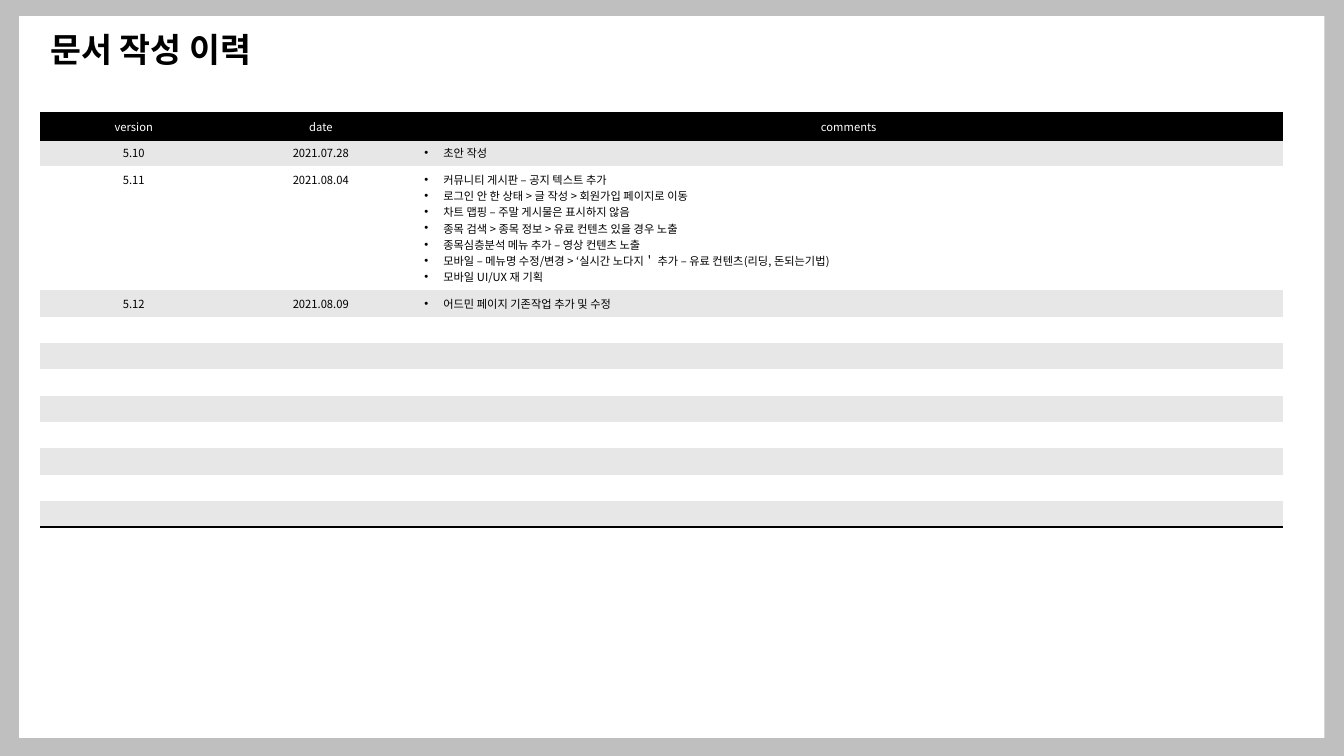
from pptx import Presentation
from pptx.dml.color import RGBColor
from pptx.enum.shapes import MSO_SHAPE
from pptx.enum.text import MSO_ANCHOR, MSO_AUTO_SIZE, PP_ALIGN
from pptx.oxml.ns import qn
from pptx.util import Pt
from lxml.etree import SubElement

HEADERS = ["version", "date", "comments"]
HISTORY = [
    ("5.10", "2021.07.28", ["초안 작성"]),
    ("5.11", "2021.08.04", [
        "커뮤니티 게시판 – 공지 텍스트 추가",
        "로그인 안 한 상태 > 글 작성 > 회원가입 페이지로 이동",
        "차트 맵핑 – 주말 게시물은 표시하지 않음",
        "종목 검색 > 종목 정보 > 유료 컨텐츠 있을 경우 노출",
        "종목심층분석 메뉴 추가 – 영상 컨텐츠 노출",
        "모바일 – 메뉴명 수정/변경 > ‘실시간 노다지＇ 추가 – 유료 컨텐츠(리딩, 돈되는기법)",
        "모바일 UI/UX 재 기획",
    ]),
    ("5.12", "2021.08.09", ["어드민 페이지 기존작업 추가 및 수정"]),
]
EMPTY_ROWS = 8
COLUMN_WIDTHS = [133.6, 133.6, 620.6]
LINE_HEIGHT, CELL_PADDING = 11.6, 7.2
NO_STYLE = "{2D5ABB26-0587-4C30-8999-92F81FD0307C}"


def colour(value):
    return RGBColor.from_string(value)


def write(para, text, size=8, color="000000", bold=False, align=PP_ALIGN.LEFT,
          font="Noto Sans CJK KR"):
    para.alignment = align
    span = para.add_run()
    span.text = text
    span.font.name = font
    span.font.size = Pt(size)
    span.font.bold = bold
    span.font.color.rgb = colour(color)
    SubElement(span.font._element, qn("a:ea"), typeface=font)


def add_bullet(para, indent=13.5):
    properties = para._p.get_or_add_pPr()
    properties.set("marL", str(Pt(indent)))
    properties.set("indent", str(-Pt(indent)))
    SubElement(properties, qn("a:buFont"), typeface="Arial")
    SubElement(properties, qn("a:buChar"), char="•")


def add_border(cell, side, color="000000", width=2):
    properties = cell._tc.get_or_add_tcPr()
    line = properties.makeelement(qn(f"a:{side}"), {"w": str(Pt(width))})
    fill = SubElement(line, qn("a:solidFill"))
    SubElement(fill, qn("a:srgbClr"), val=color)
    properties.insert(len(properties.findall(qn("a:lnT"))), line)


class HistorySlide:
    ink, paper, band, backdrop = "000000", "FFFFFF", "E7E7E7", "BFBFBF"

    def __init__(self, deck):
        self.page = deck.slides.add_slide(deck.slide_layouts[5])
        self.page.background.fill.solid()
        self.page.background.fill.fore_color.rgb = colour(self.backdrop)

    def panel(self, left, top, width, height):
        box = self.page.shapes.add_shape(
            MSO_SHAPE.RECTANGLE, Pt(left), Pt(top), Pt(width), Pt(height))
        box.shadow.inherit = False
        box.fill.solid()
        box.fill.fore_color.rgb = colour(self.paper)
        box.line.fill.background()
        self.page.shapes._spTree.insert(2, box._element)

    def title(self, text, left, top, width, height):
        box = self.page.shapes.title
        box.left, box.top, box.width, box.height = map(Pt, (left, top, width, height))
        frame = box.text_frame
        frame.auto_size = MSO_AUTO_SIZE.NONE
        frame.word_wrap = True
        frame.vertical_anchor = MSO_ANCHOR.TOP
        frame.margin_top = 0
        para = frame.paragraphs[0]
        para.line_spacing = 0.9
        write(para, text, size=24, color=self.ink, bold=True)

    def fill_cell(self, cell, lines, fill, color, bulleted):
        cell.fill.solid()
        cell.fill.fore_color.rgb = colour(fill)
        frame = cell.text_frame
        for index, text in enumerate(lines):
            para = frame.add_paragraph() if index else frame.paragraphs[0]
            if bulleted:
                add_bullet(para)
            write(para, text, color=color,
                  align=PP_ALIGN.LEFT if bulleted else PP_ALIGN.CENTER)
        if not lines:
            SubElement(frame.paragraphs[0]._p, qn("a:endParaRPr"), sz="800")

    def table(self, left, top, widths, headers, records):
        heights = [CELL_PADDING + LINE_HEIGHT * max(1, len(record[2]))
                   for record in records]
        heights.insert(0, CELL_PADDING + LINE_HEIGHT)
        frame = self.page.shapes.add_table(
            len(heights), len(widths), Pt(left), Pt(top),
            Pt(sum(widths)), Pt(sum(heights)))
        grid = frame.table
        grid.first_row = grid.horz_banding = False
        grid._tbl.tblPr.find(qn("a:tableStyleId")).text = NO_STYLE
        for column, width in zip(grid.columns, widths):
            column.width = Pt(width)
        for row, height in zip(grid.rows, heights):
            row.height = Pt(height)

        for column, text in enumerate(headers):
            cell = grid.cell(0, column)
            self.fill_cell(cell, [text], self.ink, self.paper, False)
            add_border(cell, "lnT")
            add_border(cell, "lnB")
        for row, (version, date, comments) in enumerate(records, 1):
            fill = self.band if row % 2 else self.paper
            values = [[version] if version else [], [date] if date else [], comments]
            for column, lines in enumerate(values):
                self.fill_cell(grid.cell(row, column), lines, fill, self.ink, column == 2)
        for column in range(len(widths)):
            add_border(grid.cell(len(records), column), "lnB")


def main():
    deck = Presentation()
    deck.slide_width, deck.slide_height = Pt(960), Pt(540)
    slide = HistorySlide(deck)
    slide.panel(13.6, 11.5, 932.4, 515.6)
    slide.title("문서 작성 이력", 28.8, 23.8, 319, 57.6)
    slide.table(28.8, 80.8, COLUMN_WIDTHS, HEADERS,
                HISTORY + [("", "", [])] * EMPTY_ROWS)
    deck.save("out.pptx")


if __name__ == "__main__":
    main()
